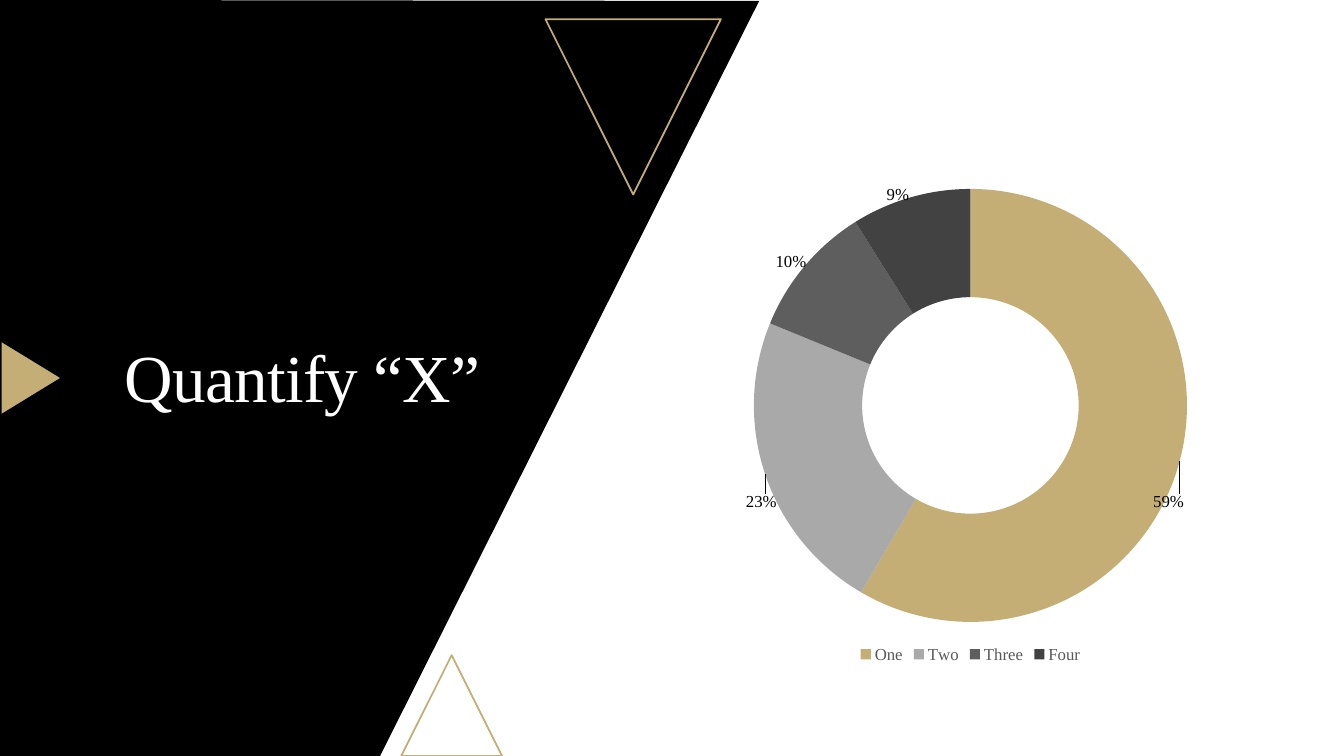
from lxml import etree
from pptx import Presentation
from pptx.chart.data import CategoryChartData
from pptx.dml.color import RGBColor
from pptx.enum import chart as ch, shapes, text
from pptx.oxml import parse_xml
from pptx.oxml.ns import nsdecls, qn
from pptx.util import Inches, Pt

BLACK = RGBColor(0x00, 0x00, 0x00)
WHITE = RGBColor(0xFF, 0xFF, 0xFF)
GOLD = RGBColor(0xC4, 0xAE, 0x75)
SILVER = RGBColor(0xA9, 0xA9, 0xA9)
GREY = RGBColor(0x5E, 0x5E, 0x5E)
CHARCOAL = RGBColor(0x42, 0x42, 0x42)
LEGEND_GREY = RGBColor(0x59, 0x59, 0x59)
FONT = "Times New Roman"
PERCENT = '0"%"'

# category, value, colour, label shift as a share of the chart's size
SLICES = [
    ("One", 59, GOLD, (0.09, 0.11)),
    ("Two", 23, SILVER, (-0.12, 0.09)),
    ("Three", 10, GREY, (-0.12, -0.08)),
    ("Four", 9, CHARCOAL, (-0.06, -0.11)),
]


def set_font(font, size, color):
    font.name = FONT
    font.size = Pt(size)
    font.color.rgb = color


def add_panel(slide):
    """Black slanted panel behind the title."""
    corners = [(7.53, 0.01), (3.77, 7.5), (0, 7.5)]
    builder = slide.shapes.build_freeform(0, 0)
    builder.add_line_segments([(Inches(x), Inches(y)) for x, y in corners])
    sp = builder.convert_to_shape()
    sp.shadow.inherit = False
    sp.fill.solid()
    sp.fill.fore_color.rgb = BLACK
    sp.line.fill.background()


def add_triangle(slide, left, top, width, height, rotation=0, filled=False):
    sp = slide.shapes.add_shape(
        shapes.MSO_SHAPE.ISOSCELES_TRIANGLE,
        Inches(left), Inches(top), Inches(width), Inches(height))
    sp.rotation = rotation
    sp.shadow.inherit = False
    if filled:
        sp.fill.solid()
        sp.fill.fore_color.rgb = GOLD
        sp.line.fill.background()
    else:
        sp.fill.background()
        sp.line.color.rgb = GOLD
        sp.line.width = Pt(1.25)


def add_title(slide, wording):
    title = slide.shapes.title
    title.left, title.top = Inches(0.6), Inches(2.14)
    title.width, title.height = Inches(4.8), Inches(3.28)
    tf = title.text_frame
    tf.word_wrap = True
    tf.vertical_anchor = text.MSO_ANCHOR.MIDDLE
    p = tf.paragraphs[0]
    p.alignment = text.PP_ALIGN.CENTER
    p.line_spacing = 0.9
    r = p.add_run()
    r.text = wording
    set_font(r.font, 48, WHITE)
    r.font._element.set("spc", "-50")
    # keep the title in front of the panel
    slide.shapes._spTree.append(title._element)


def manual_layout(**settings):
    layout = parse_xml(f"<c:layout {nsdecls('c')}><c:manualLayout/></c:layout>")
    for name, value in settings.items():
        etree.SubElement(layout[0], qn(f"c:{name}"), val=str(value))
    return layout


def add_doughnut(slide):
    data = CategoryChartData()
    data.categories = [name for name, *_ in SLICES]
    data.add_series("Series 1", [value for _, value, *_ in SLICES])
    chart = slide.shapes.add_chart(
        ch.XL_CHART_TYPE.DOUGHNUT, Inches(7.34), Inches(1.72),
        Inches(4.57), Inches(4.9), data).chart
    chart.has_title = False
    set_font(chart.font, 10, BLACK)
    chart.has_legend = True
    chart.legend.position = ch.XL_LEGEND_POSITION.BOTTOM
    chart.legend.include_in_layout = False
    set_font(chart.legend.font, 12, LEGEND_GREY)

    series = chart.plots[0].series[0]
    labels = series.data_labels
    labels.show_value = True
    labels.number_format = PERCENT
    labels.number_format_is_linked = False
    set_font(labels.font, 12, BLACK)
    for i, (_, _, color, _) in enumerate(SLICES):
        point = series.points[i]
        point.format.fill.solid()
        point.format.fill.fore_color.rgb = color
        point.format.line.fill.background()
        set_font(point.data_label.font, 12, BLACK)

    root = chart.element
    for label, (*_, (dx, dy)) in zip(root.iter(qn("c:dLbl")), SLICES):
        label.insert(1, manual_layout(x=dx, y=dy))
        number_format = etree.Element(
            qn("c:numFmt"), formatCode=PERCENT, sourceLinked="0")
        label.insert(2, number_format)
    next(root.iter(qn("c:holeSize"))).set("val", "84")
    plot_area = next(root.iter(qn("c:plotArea")))
    for old in plot_area.findall(qn("c:layout")):
        plot_area.remove(old)
    plot_area.insert(0, manual_layout(
        layoutTarget="inner", xMode="edge", yMode="edge",
        x=0.03, y=0.03, w=0.94, h=0.88))


def main():
    prs = Presentation()
    prs.slide_width, prs.slide_height = Inches(13.33), Inches(7.5)
    slide = prs.slides.add_slide(prs.slide_layouts[5])
    add_panel(slide)
    add_triangle(slide, 3.98, 6.5, 1, 1)
    add_triangle(slide, 5.41, 0.19, 1.74, 1.74, rotation=180)
    add_triangle(slide, -0.05, 3.46, 0.71, 0.58, rotation=90, filled=True)
    add_title(slide, "Quantify “X”")
    add_doughnut(slide)
    prs.save("out.pptx")


if __name__ == "__main__":
    main()
